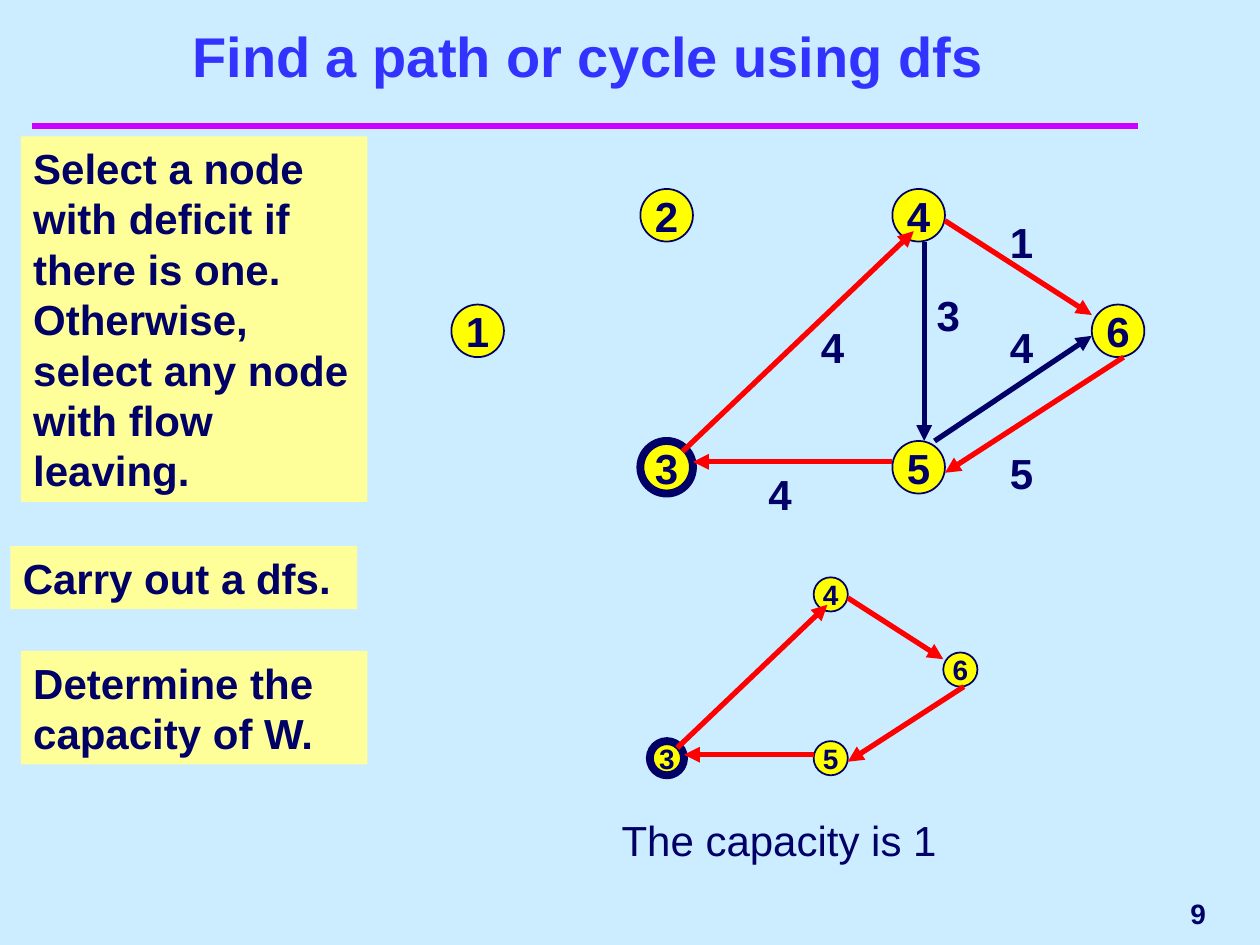
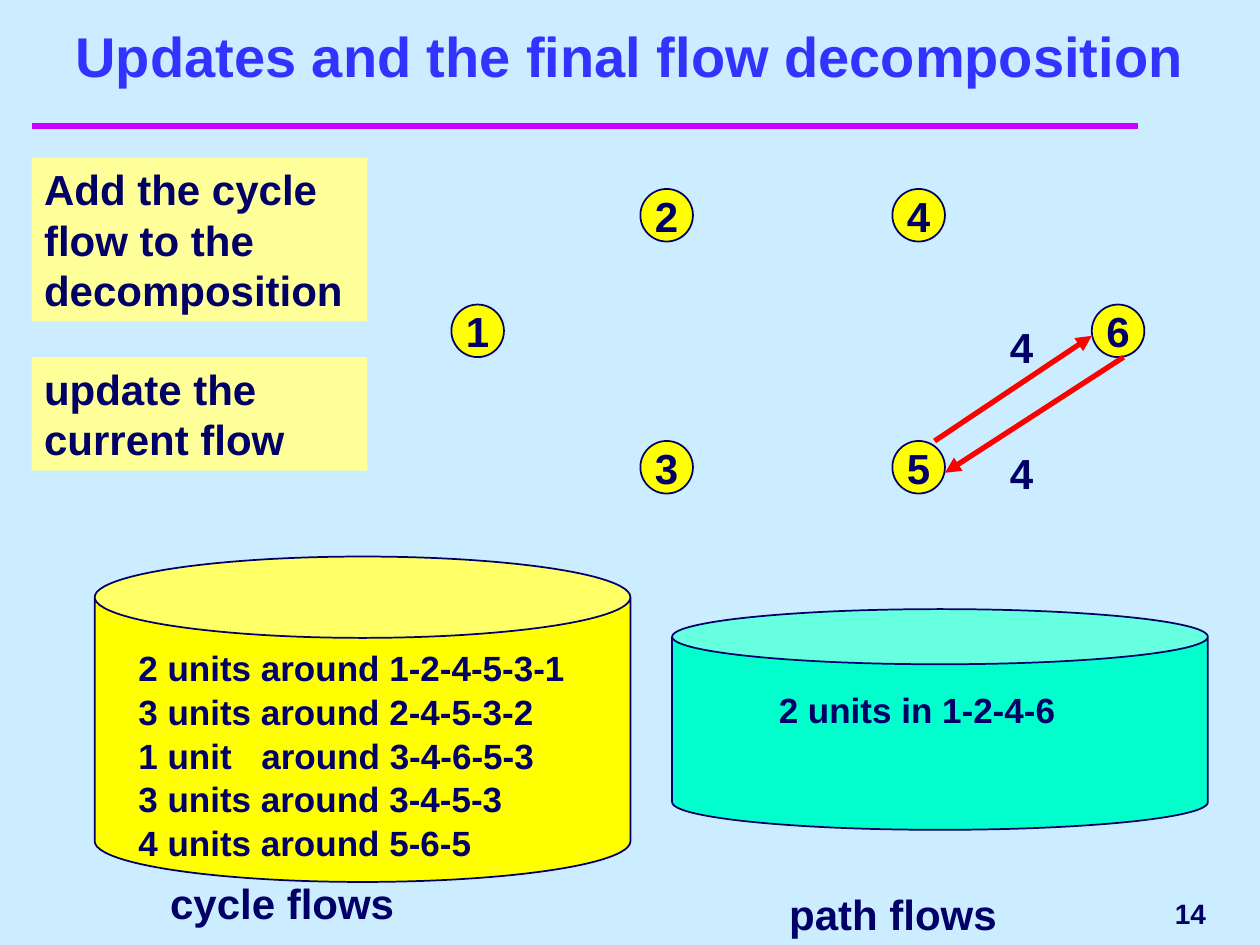
from lxml import etree
from pptx import Presentation
from pptx.dml.color import RGBColor
from pptx.enum.shapes import MSO_CONNECTOR, MSO_SHAPE
from pptx.enum.text import MSO_ANCHOR, MSO_AUTO_SIZE, PP_ALIGN
from pptx.oxml.ns import qn
from pptx.util import Cm, Pt

LEFT, CENTER, RIGHT = PP_ALIGN.LEFT, PP_ALIGN.CENTER, PP_ALIGN.RIGHT
TOP, MIDDLE, BOTTOM = MSO_ANCHOR.TOP, MSO_ANCHOR.MIDDLE, MSO_ANCHOR.BOTTOM
STRAIGHT = MSO_CONNECTOR.STRAIGHT
RECT, OVAL, CAN = MSO_SHAPE.RECTANGLE, MSO_SHAPE.OVAL, MSO_SHAPE.CAN

SKY = RGBColor(0xCC, 0xEC, 0xFF)
NAVY = RGBColor(0x00, 0x00, 0x66)
BLUE = RGBColor(0x33, 0x33, 0xFF)
PURPLE = RGBColor(0xCC, 0x00, 0xFF)
RED = RGBColor(0xFF, 0x00, 0x00)
YELLOW = RGBColor(0xFF, 0xFF, 0x00)
CREAM = RGBColor(0xFF, 0xFF, 0x99)
TEAL = RGBColor(0x00, 0xFF, 0xCC)
FONT = "Arial"

# Network geometry in cm: node corners, and arrow ends by (from, to) node
NODE_SIZE = 1.06
NODES = {1: (9.1, 6.14), 2: (12.91, 3.81), 3: (12.91, 8.89),
         4: (17.99, 3.81), 5: (17.99, 8.89), 6: (22.01, 6.14)}
ARROWS = {(3, 4): (13.76, 9.1, 18.42, 4.66),
          (4, 5): (18.63, 4.87, 18.63, 8.89),
          (4, 6): (19.05, 4.45, 22.01, 6.35),
          (5, 3): (17.99, 9.31, 13.97, 9.31),
          (5, 6): (18.84, 8.89, 22.01, 6.77),
          (6, 5): (22.65, 7.2, 19.05, 9.53)}
CYCLE = [(3, 4), (4, 6), (6, 5), (5, 3)]


def set_text(sp, lines, size=24, bold=True, align=LEFT, anchor=TOP, wrap=True, color=NAVY):
    """Fill a shape with one paragraph per line; a tab in a line stops at 2.48 cm."""
    tf = sp.text_frame
    tf.auto_size = MSO_AUTO_SIZE.NONE
    tf.word_wrap = wrap
    tf.vertical_anchor = anchor
    for i, line in enumerate(lines):
        p = tf.paragraphs[0] if i == 0 else tf.add_paragraph()
        p.text = line
        p.alignment = align
        if i:
            p.space_before = Pt(1)
        if "\t" in line:
            tabs = etree.SubElement(p._p.get_or_add_pPr(), qn("a:tabLst"))
            etree.SubElement(tabs, qn("a:tab"), pos=str(Cm(2.48)), algn="l")
        p.font.name = FONT
        p.font.size = Pt(size)
        p.font.bold = bold
        p.font.color.rgb = color


def draw_network(shapes, nodes, arrows, start=None, scale=1, corner=NODES[3], size=24):
    """Draw nodes and (from, to, colour) arrows, with node 3 placed at corner."""
    def place(x, y):
        return (Cm(corner[0] + (x - NODES[3][0]) * scale),
                Cm(corner[1] + (y - NODES[3][1]) * scale))

    for n in nodes:
        sp = shapes.add_shape(OVAL, *place(*NODES[n]), Cm(NODE_SIZE * scale), Cm(NODE_SIZE * scale))
        sp.shadow.inherit = False
        sp.fill.solid()
        sp.fill.fore_color.rgb = YELLOW
        sp.line.color.rgb = NAVY
        sp.line.width = Pt(4.5 if n == start else 1)
        set_text(sp, [str(n)], size, align=CENTER, anchor=MIDDLE, wrap=False)
    for tail, tip, color in arrows:
        x1, y1, x2, y2 = ARROWS[tail, tip]
        c = shapes.add_connector(STRAIGHT, *place(x1, y1), *place(x2, y2))
        c.line.color.rgb = color
        c.line.width = Pt(3)
        etree.SubElement(c.line._get_or_add_ln(), qn("a:tailEnd"), type="triangle")
        etree.SubElement(c._element.spPr, qn("a:effectLst"))


prs = Presentation()
prs.slide_width, prs.slide_height = Cm(25.4), Cm(19.05)
fill = prs.slide_master.background.fill
fill.solid()
fill.fore_color.rgb = SKY

# Title, title box, page number, step boxes and arc labels of each slide
PAGES = [
    ("Find a path or cycle using dfs", (1.06, 0.85, 21.59, 1.06), "9",
     [("Select a node with deficit if there is one. Otherwise, select any node with flow leaving.",
       (0.42, 2.75, 6.99, 7.37)),
      ("Carry out a dfs.", (0.21, 11.01, 6.99, 1.27)),
      ("Determine the capacity of W.", (0.42, 13.12, 6.99, 2.29))],
     [("1", 20.11, 4.23), ("4", 16.3, 6.35), ("4", 20.11, 6.35),
      ("3", 18.63, 5.71), ("5", 20.11, 8.89), ("4", 15.24, 9.31)]),
    ("Updates and the final flow decomposition", (0, 0, 25.4, 1.91), "14",
     [("Add the cycle flow to the decomposition", (0.64, 3.18, 6.77, 3.3)),
      ("update the current flow", (0.64, 7.2, 6.77, 2.29))],
     [("4", 20.11, 6.35), ("4", 20.11, 8.89)]),
]

slides = []
for title, title_box, number, steps, labels in PAGES:
    s = prs.slides.add_slide(prs.slide_layouts[5])
    slides.append(s)

    rule = s.shapes.add_connector(STRAIGHT, Cm(0.64), Cm(2.54), Cm(22.94), Cm(2.54))
    rule.line.color.rgb = PURPLE
    rule.line.width = Pt(4)
    etree.SubElement(rule._element.spPr, qn("a:effectLst"))

    sp = s.shapes.title
    sp.left, sp.top, sp.width, sp.height = map(Cm, title_box)
    set_text(sp, [title], 32, align=CENTER, anchor=BOTTOM, color=BLUE)

    sp = s.shapes.add_textbox(Cm(19.69), Cm(17.78), Cm(4.87), Cm(1.27))
    set_text(sp, [number], 16, align=RIGHT, anchor=MIDDLE, wrap=False)

    for step, box in steps:
        sp = s.shapes.add_shape(RECT, *map(Cm, box))
        sp.shadow.inherit = False
        sp.fill.solid()
        sp.fill.fore_color.rgb = CREAM
        sp.line.fill.background()
        set_text(sp, [step])

    for flow, x, y in labels:
        sp = s.shapes.add_textbox(Cm(x), Cm(y), Cm(1.69), Cm(1.27))
        set_text(sp, [flow])

# Search slide: the network, and below it the cycle that was found
search, final = slides
red_cycle = [(*arc, RED) for arc in CYCLE]
draw_network(search.shapes, NODES, [(4, 5, NAVY), (5, 6, NAVY)] + red_cycle, start=3)
group = search.shapes.add_group_shape()
draw_network(group.shapes, [3, 4, 5, 6], red_cycle, start=3,
             scale=0.65, corner=(13.1, 14.94), size=16)
sp = search.shapes.add_textbox(Cm(12.28), Cm(16.3), Cm(8.26), Cm(1.27))
set_text(sp, ["The capacity is 1"], bold=False)

# Decomposition slide: the remaining flow, and a drum for each kind of flow
draw_network(final.shapes, NODES, [(5, 6, RED), (6, 5, RED)])
DRUMS = [
    (TEAL, (13.55, 12.28, 10.8, 4.45), ["2 units in 1-2-4-6"], (15.45, 13.76, 7.41, 1.11),
     "path flows", (15.66, 17.78)),
    (YELLOW, (1.91, 11.22, 10.8, 6.56),
     ["2 units around 1-2-4-5-3-1", "3 units around 2-4-5-3-2", "1 unit\taround 3-4-6-5-3",
      "3 units around 3-4-5-3", "4 units around 5-6-5"], (2.54, 12.91, 9.31, 4.47),
     "cycle flows", (3.18, 17.57)),
]
for color, drum, flows, flows_box, caption, (x, y) in DRUMS:
    sp = final.shapes.add_shape(CAN, *map(Cm, drum))
    sp.shadow.inherit = False
    sp.fill.solid()
    sp.fill.fore_color.rgb = color
    sp.line.color.rgb = NAVY
    sp.line.width = Pt(1)
    set_text(final.shapes.add_textbox(*map(Cm, flows_box)), flows, 20)
    set_text(final.shapes.add_textbox(Cm(x), Cm(y), Cm(6.99), Cm(1.27)), [caption])

prs.save("out.pptx")
